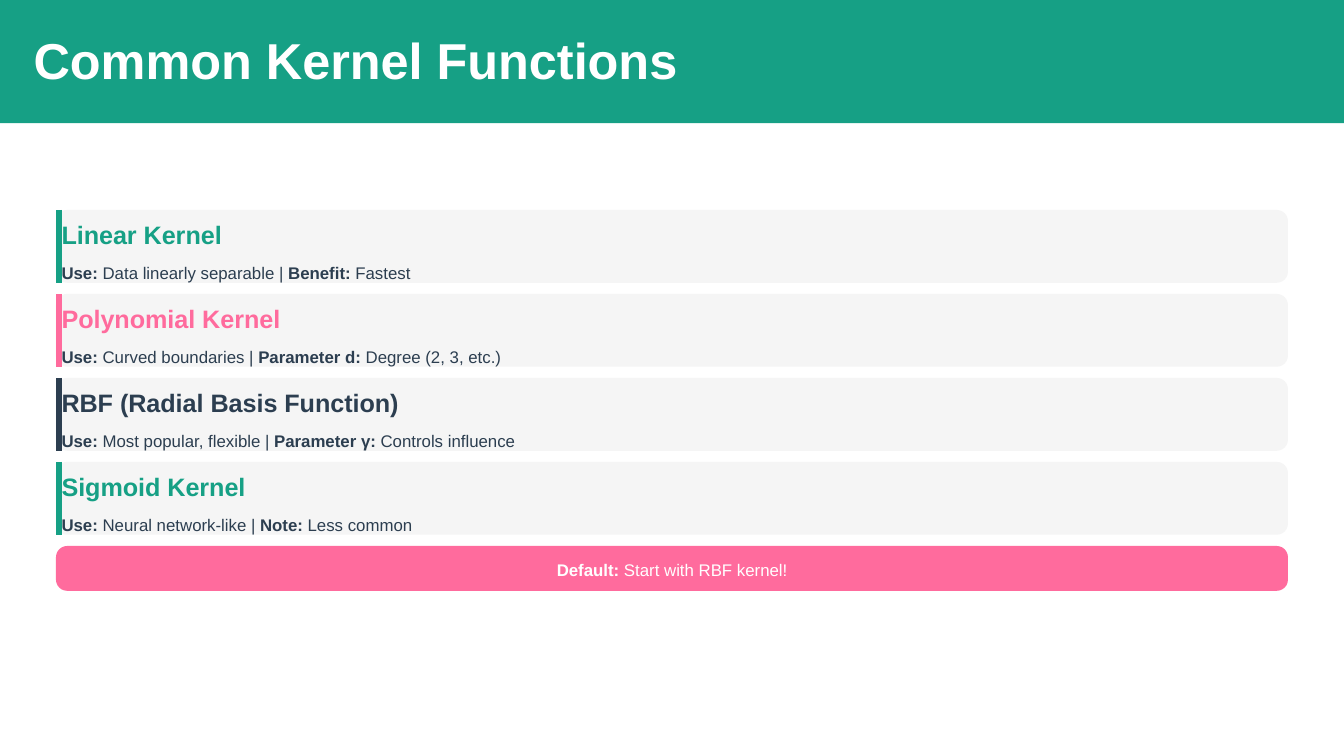
from lxml.etree import SubElement
from pptx import Presentation
from pptx.dml.color import RGBColor
from pptx.enum.shapes import MSO_CONNECTOR, MSO_SHAPE
from pptx.enum.text import PP_ALIGN
from pptx.oxml.ns import qn
from pptx.util import Pt

COLORS = {
    "teal": "16A085",
    "pink": "FF6B9D",
    "navy": "2C3E50",
    "card": "F5F5F5",
    "white": "FFFFFF",
}

KERNELS = [
    ("Linear Kernel", "teal", "Data linearly separable", "Benefit:", "Fastest"),
    ("Polynomial Kernel", "pink", "Curved boundaries", "Parameter d:", "Degree (2, 3, etc.)"),
    ("RBF (Radial Basis Function)", "navy", "Most popular, flexible", "Parameter γ:", "Controls influence"),
    ("Sigmoid Kernel", "teal", "Neural network-like", "Note:", "Less common"),
]

CARD_LEFT, CARD_TOP, CARD_WIDTH, CARD_HEIGHT = 30, 112.5, 660, 39
CARD_STEP = CARD_HEIGHT + 6
CORNER_RADIUS = 6
ACCENT_WIDTH = 3
TEXT_LEFT = CARD_LEFT + ACCENT_WIDTH
TEXT_WIDTH = 670
TIP_HEIGHT = 24
TIP_TEXT_WIDTH = 126


class SlideBuilder:
    font_name = "Arial"

    def __init__(self, slide):
        self.slide = slide

    def color(self, name):
        return RGBColor.from_string(COLORS[name])

    def box(self, left, top, width, height, fill, radius=0):
        kind = MSO_SHAPE.ROUNDED_RECTANGLE if radius else MSO_SHAPE.RECTANGLE
        shape = self.slide.shapes.add_shape(kind, Pt(left), Pt(top), Pt(width), Pt(height))
        if radius:
            shape.adjustments[0] = radius / min(width, height)
        shape.shadow.inherit = False
        shape.fill.solid()
        shape.fill.fore_color.rgb = self.color(fill)
        shape.line.fill.background()

    def vertical_line(self, x, top, height, color, width):
        connector = self.slide.shapes.add_connector(
            MSO_CONNECTOR.STRAIGHT, Pt(x), Pt(top), Pt(x), Pt(top + height))
        connector.line.color.rgb = self.color(color)
        connector.line.width = Pt(width)
        SubElement(connector._element.spPr, qn("a:effectLst"))

    def text(self, left, top, width, height, runs, size, color, align=PP_ALIGN.LEFT):
        shape = self.slide.shapes.add_textbox(Pt(left), Pt(top), Pt(width), Pt(height))
        frame = shape.text_frame
        frame.word_wrap = True
        frame.margin_left = frame.margin_top = frame.margin_right = frame.margin_bottom = 0
        paragraph = frame.paragraphs[0]
        paragraph.alignment = align
        paragraph.line_spacing = Pt(height)
        paragraph.font.name = self.font_name
        paragraph.font.size = Pt(size)
        paragraph.font.color.rgb = self.color(color)
        if len(runs) == 1:
            paragraph.font.bold = True
        for index, content in enumerate(runs):
            run = paragraph.add_run()
            run.text = content
            if len(runs) > 1:
                run.font.bold = index % 2 == 0

    def kernel_card(self, top, name, color, use, label, detail):
        self.box(CARD_LEFT, top, CARD_WIDTH, CARD_HEIGHT, "card", CORNER_RADIUS)
        self.vertical_line(CARD_LEFT + ACCENT_WIDTH / 2, top, CARD_HEIGHT, color, ACCENT_WIDTH)
        self.text(TEXT_LEFT, top, TEXT_WIDTH, 21, [name], 13.5, color)
        self.text(TEXT_LEFT, top + 27, TEXT_WIDTH, 12,
                  ["Use:", f" {use} | ", label, f" {detail}"], 9, "navy")


def main():
    presentation = Presentation()
    presentation.slide_width = Pt(720)
    presentation.slide_height = Pt(405)
    builder = SlideBuilder(presentation.slides.add_slide(presentation.slide_layouts[6]))

    builder.box(0, 0, 720, 66, "teal")
    builder.text(18, 18, 353, 30, ["Common Kernel Functions"], 27, "white")

    for index, kernel in enumerate(KERNELS):
        builder.kernel_card(CARD_TOP + index * CARD_STEP, *kernel)

    tip_top = CARD_TOP + len(KERNELS) * CARD_STEP
    builder.box(CARD_LEFT, tip_top, CARD_WIDTH, TIP_HEIGHT, "pink", CORNER_RADIUS)
    builder.text(CARD_LEFT + (CARD_WIDTH - TIP_TEXT_WIDTH) / 2, tip_top + 6, TIP_TEXT_WIDTH, 12,
                 ["Default:", " Start with RBF kernel!"], 9, "white", PP_ALIGN.CENTER)

    presentation.save("out.pptx")


if __name__ == "__main__":
    main()
